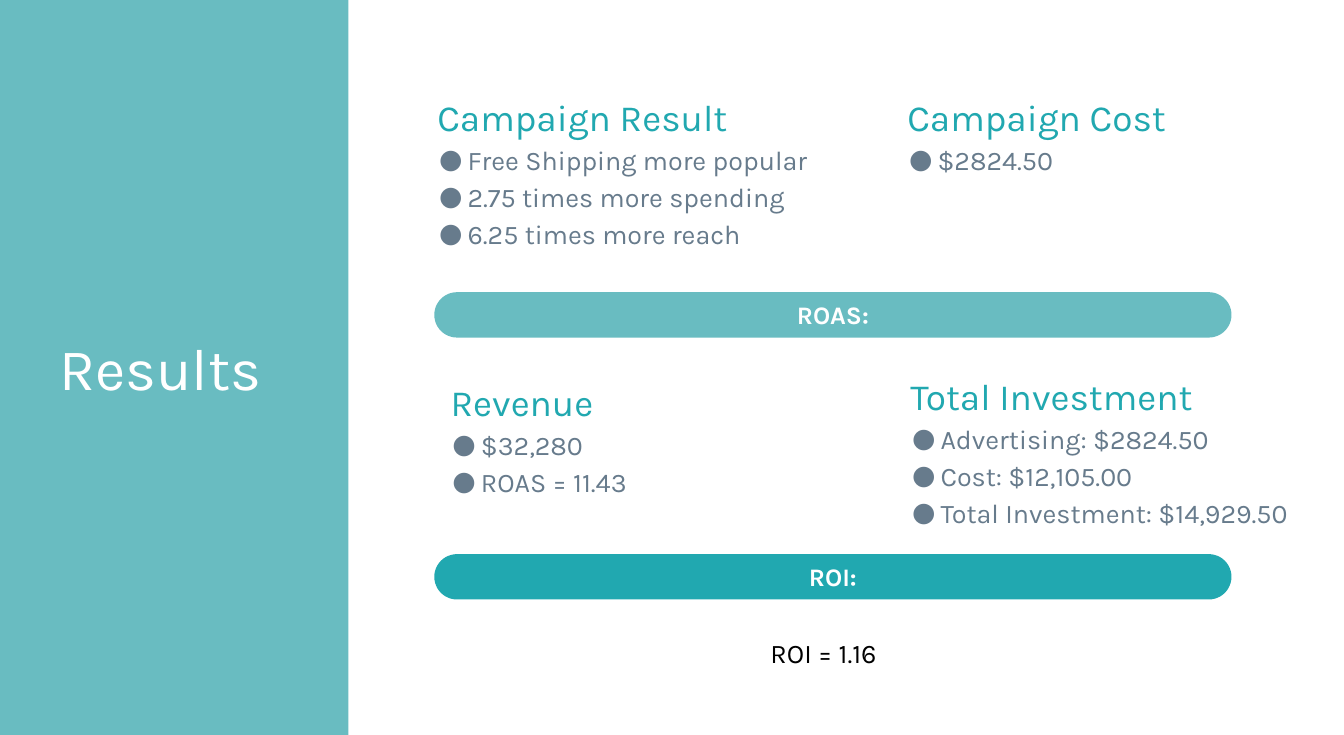
from lxml.etree import SubElement
from pptx import Presentation
from pptx.dml.color import RGBColor
from pptx.enum.shapes import MSO_SHAPE
from pptx.enum.text import MSO_ANCHOR, MSO_AUTO_SIZE, PP_ALIGN
from pptx.oxml.ns import qn
from pptx.util import Inches, Pt

TITLE = "Results"
SECTIONS = [
    ("Campaign Result", ["Free Shipping more popular", "2.75 times more spending",
                         "6.25 times more reach"], (7.01, 0.97, 7.55, 3.7)),
    ("Campaign Cost", ["$2824.50"], (14.78, 0.97, 6.7, 2.79)),
    ("Revenue", ["$32,280", "ROAS = 11.43"], (7.23, 5.68, 7.55, 3.7)),
    ("Total Investment", ["Advertising: $2824.50", "Cost: $12,105.00",
                          "Total Investment: $14,929.50"], (14.83, 5.58, 7.55, 3.7)),
]
AQUA = RGBColor(0x69, 0xBC, 0xC1)
TEAL = RGBColor(0x21, 0xA8, 0xB0)
SLATE = RGBColor(0x67, 0x7B, 0x8C)
WHITE = RGBColor(0xFF, 0xFF, 0xFF)
BLACK = RGBColor(0, 0, 0)
BARS = [("ROAS:", 4.83, AQUA), ("ROI:", 9.16, TEAL)]
CONCLUSION = "ROI = 1.16"

FONT = "Karla"
WIDTH, HEIGHT = 22.22, 12.15
PANEL_W = 5.76
BAR_LEFT, BAR_W, BAR_H = 7.18, 13.18, 0.75
INSET = 0.22


def style(p, size, color, bold=False):
    for r in p.runs:
        r.font.name = FONT
        r.font.size = Pt(size)
        r.font.bold = bold
        r.font.color.rgb = color


def place(sp, box, anchor):
    sp.left, sp.top, sp.width, sp.height = map(Inches, box)
    tf = sp.text_frame
    tf.word_wrap = True
    tf.auto_size = MSO_AUTO_SIZE.NONE
    tf.vertical_anchor = anchor
    tf.margin_left = tf.margin_right = tf.margin_top = tf.margin_bottom = Inches(INSET)
    return tf


def set_bullet(p, shown):
    pPr = p._p.get_or_add_pPr()
    pPr.set("marL", str(Inches(0.5) if shown else 0))
    pPr.set("indent", str(Inches(-0.47) if shown else 0))
    if not shown:
        SubElement(pPr, qn("a:buNone"))
        return
    SubElement(SubElement(pPr, qn("a:buClr")), qn("a:srgbClr")).set("val", str(SLATE))
    SubElement(pPr, qn("a:buFont")).set("typeface", FONT)
    SubElement(pPr, qn("a:buChar")).set("char", "●")


def add_block(s, kind, box, color):
    sp = s.shapes.add_shape(kind, *map(Inches, box))
    sp.shadow.inherit = False
    sp.fill.solid()
    sp.fill.fore_color.rgb = color
    sp.line.fill.background()
    return sp


def fill_section(sp, heading, items, box):
    tf = place(sp, box, MSO_ANCHOR.TOP)
    tf.text = "\n".join([heading, *items])
    for i, p in enumerate(tf.paragraphs):
        p.alignment = PP_ALIGN.LEFT
        p.line_spacing = 1.15 if i else 1.5
        p.space_before = p.space_after = Pt(0)
        set_bullet(p, i > 0)
        style(p, 32 if i else 44, SLATE if i else TEAL)


def main():
    prs = Presentation()
    prs.slide_width, prs.slide_height = Inches(WIDTH), Inches(HEIGHT)
    s = prs.slides.add_slide(prs.slide_layouts.get_by_name("Comparison"))
    title, *bodies = s.placeholders

    panel = add_block(s, MSO_SHAPE.RECTANGLE, (0, 0, PANEL_W, HEIGHT), AQUA)
    s.shapes._spTree.insert(2, panel._element)

    tf = place(title, (0.76, 4.09, 4.53, 3.96), MSO_ANCHOR.MIDDLE)
    tf.text = TITLE
    tf.paragraphs[0].alignment = PP_ALIGN.LEFT
    style(tf.paragraphs[0], 70, WHITE)

    for sp, section in zip(bodies, SECTIONS):
        fill_section(sp, *section)

    for label, top, color in BARS:
        bar = add_block(s, MSO_SHAPE.ROUNDED_RECTANGLE, (BAR_LEFT, top, BAR_W, BAR_H), color)
        bar.adjustments[0] = 0.5
        tf = bar.text_frame
        tf.text = label
        tf.vertical_anchor = MSO_ANCHOR.MIDDLE
        tf.paragraphs[0].alignment = PP_ALIGN.CENTER
        style(tf.paragraphs[0], 30, WHITE, True)

    tf = s.shapes.add_textbox(*map(Inches, (12.64, 10.47, 7.73, 0.64))).text_frame
    tf.word_wrap = True
    tf.text = CONCLUSION
    style(tf.paragraphs[0], 32, BLACK)

    prs.save("out.pptx")


if __name__ == "__main__":
    main()
